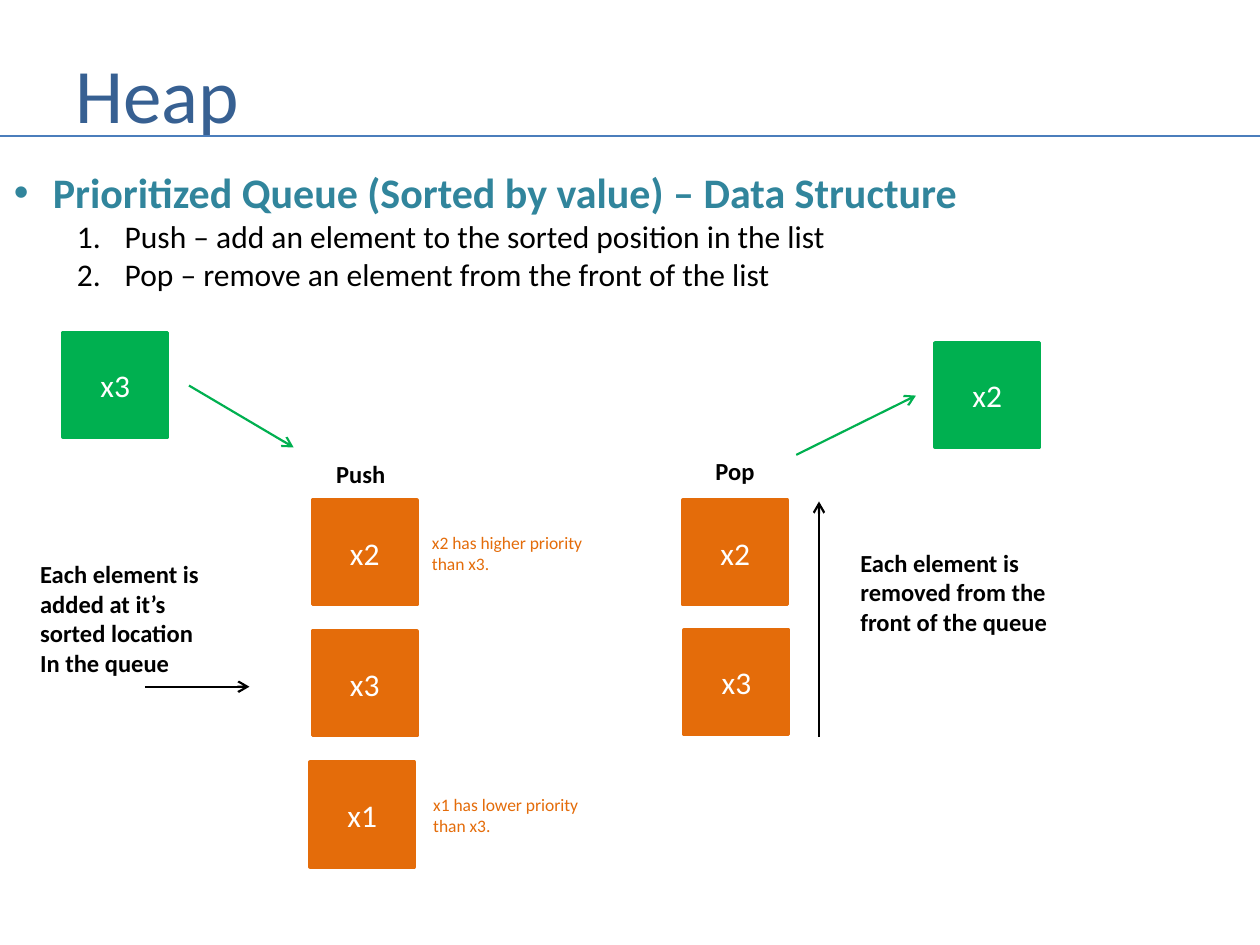
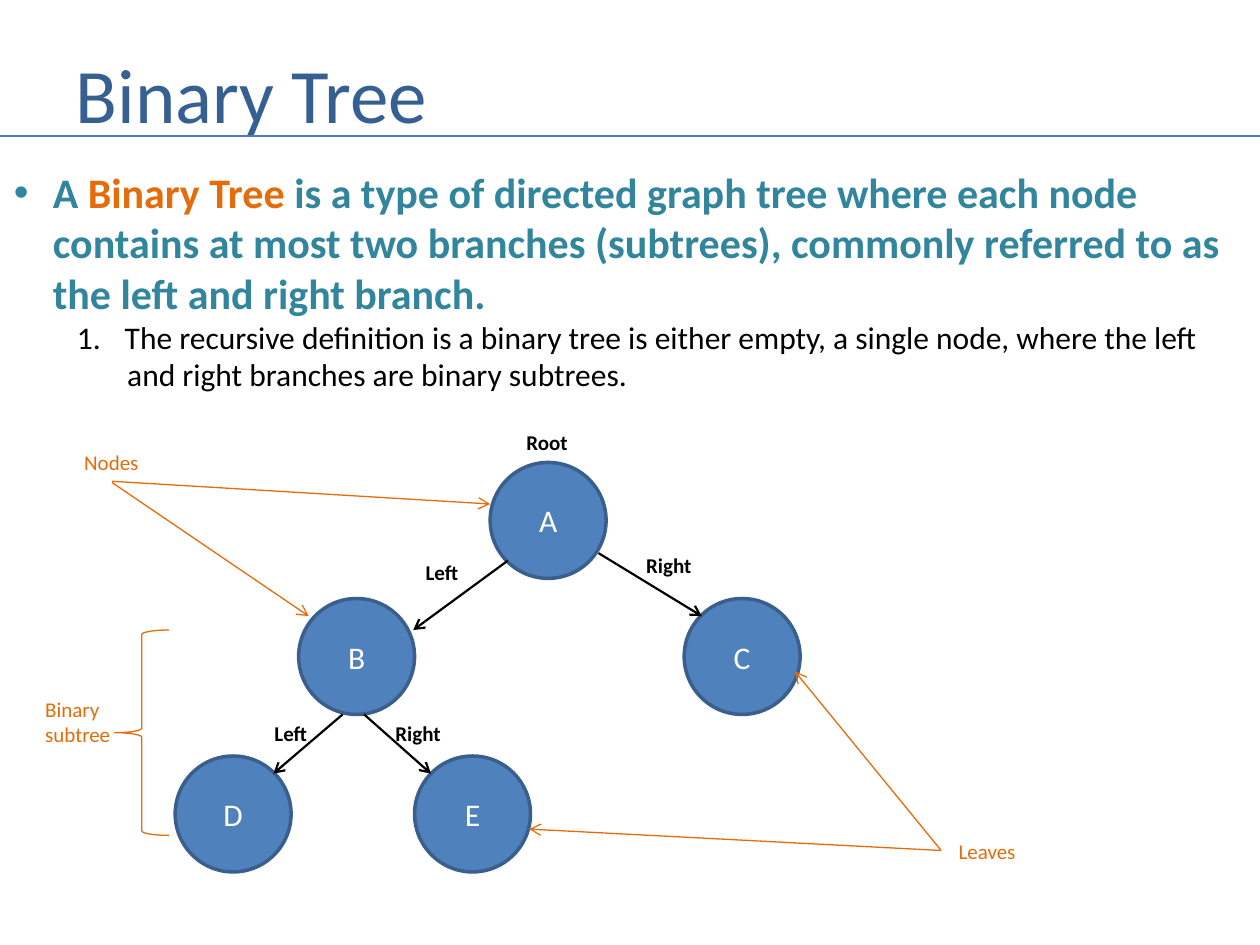
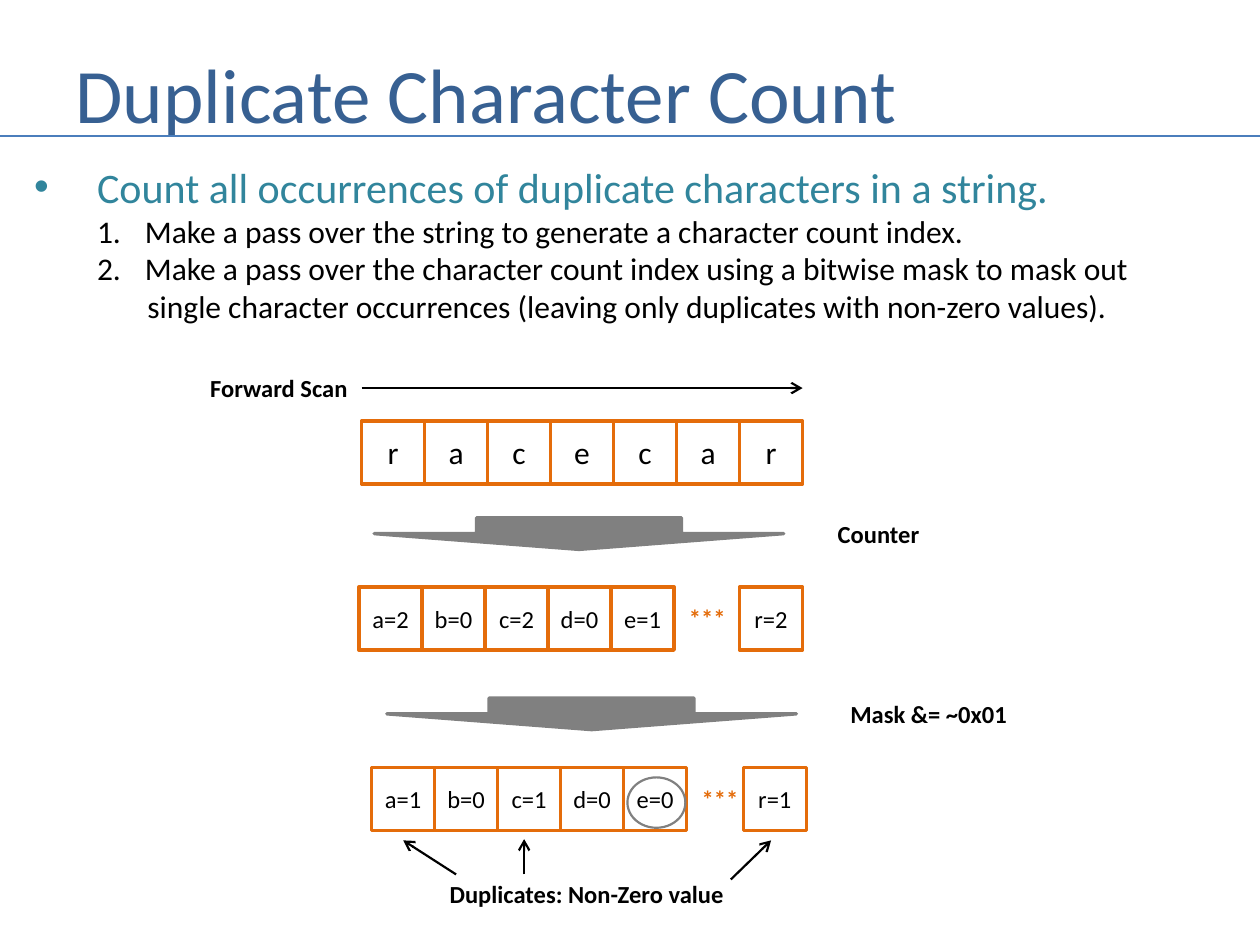
from dataclasses import dataclass

from lxml import etree
from pptx import Presentation
from pptx.dml.color import RGBColor
from pptx.enum.shapes import MSO_CONNECTOR, MSO_SHAPE
from pptx.enum.text import MSO_ANCHOR, MSO_AUTO_SIZE, PP_ALIGN
from pptx.oxml.ns import qn
from pptx.util import Inches, Pt

RECTANGLE, ELLIPSE = MSO_SHAPE.RECTANGLE, MSO_SHAPE.OVAL
DOWN_ARROW, RIGHT_BRACE = MSO_SHAPE.DOWN_ARROW, MSO_SHAPE.RIGHT_BRACE
STRAIGHT = MSO_CONNECTOR.STRAIGHT
MIDDLE, LEFT, CENTER = MSO_ANCHOR.MIDDLE, PP_ALIGN.LEFT, PP_ALIGN.CENTER
FIT_SHAPE, NO_FIT = MSO_AUTO_SIZE.SHAPE_TO_FIT_TEXT, MSO_AUTO_SIZE.NONE


@dataclass(frozen=True)
class Theme:
    font: str = "Calibri"
    # Colours
    title: str = "376092"
    rule: str = "4B7EBC"
    heading: str = "31859C"
    text: str = "000000"
    light: str = "FFFFFF"
    accent: str = "E46C0A"
    moving: str = "00B050"
    node: str = "4F81BD"
    node_line: str = "3A5F8C"
    step: str = "808080"
    # Type sizes
    title_size: int = 44
    heading_size: int = 24
    body_size: int = 18
    label_size: int = 14
    small_size: int = 12
    note_size: int = 10
    # Line widths
    outline: float = 2
    title_rule: float = 1.5
    arrow: float = 1.25
    pointer: float = 0.75


THEME = Theme()


def add_text(paragraph, text, size=THEME.body_size, color=THEME.text, bold=False):
    """Append one formatted run to a paragraph."""
    run = paragraph.add_run()
    run.text = text
    run.font.name = THEME.font
    run.font.size = Pt(size)
    run.font.bold = bold
    run.font.color.rgb = RGBColor.from_string(color)


def next_paragraph(frame, index):
    return frame.paragraphs[0] if index == 0 else frame.add_paragraph()


def place(shape, left, top, width, height):
    shape.left, shape.top = Inches(left), Inches(top)
    shape.width, shape.height = Inches(width), Inches(height)


def set_bullet(paragraph, margin, indent, tag, **attributes):
    properties = paragraph._p.get_or_add_pPr()
    properties.set("marL", str(Inches(margin)))
    properties.set("indent", str(Inches(indent)))
    if tag == "a:buChar":
        etree.SubElement(properties, qn("a:buFont"), typeface="Arial")
    etree.SubElement(properties, qn(tag), **attributes)


class Deck:
    """Holds the presentation, its style and the current slide."""

    def __init__(self):
        self.presentation = Presentation()
        self.presentation.slide_width = Inches(10)
        self.presentation.slide_height = Inches(7.5)
        self.slide = None

    def new_slide(self, title):
        layout = self.presentation.slide_layouts[1]
        self.slide = self.presentation.slides.add_slide(layout)
        shape = self.slide.shapes.title
        place(shape, 0.5, 0.3, 9.08, 0.87)
        frame = shape.text_frame
        frame.auto_size = NO_FIT
        frame.vertical_anchor = MIDDLE
        frame.paragraphs[0].alignment = LEFT
        add_text(frame.paragraphs[0], title, size=THEME.title_size, color=THEME.title)
        self.line((0, 1.08), (10, 1.08), THEME.rule, THEME.title_rule, arrow=False)

    def outline(self, box, heading, items, continuation=None, hang=0.31, bold=True):
        """Fill the body with a bulleted heading and numbered items."""
        body = self.slide.placeholders[1]
        place(body, *box)
        frame = body.text_frame
        frame.auto_size = FIT_SHAPE
        first = frame.paragraphs[0]
        first.space_before = Pt(0)
        set_bullet(first, hang, -hang, "a:buChar", char="•")
        for text, color in heading:
            add_text(first, text, size=THEME.heading_size, color=color, bold=bold)
        lines = [(item, True) for item in items]
        if continuation:
            lines.append((continuation, False))
        for text, numbered in lines:
            paragraph = frame.add_paragraph()
            paragraph.level = 1
            paragraph.space_before = Pt(0)
            if numbered:
                set_bullet(paragraph, 0.88, -0.38, "a:buAutoNum", type="arabicPeriod")
            else:
                set_bullet(paragraph, 0.9, 0, "a:buNone")
            add_text(paragraph, text)

    def label(self, box, *lines, size=THEME.label_size, color=THEME.text, bold=True):
        shape = self.slide.shapes.add_textbox(*map(Inches, box))
        frame = shape.text_frame
        frame.word_wrap = False
        frame.auto_size = FIT_SHAPE
        for index, text in enumerate(lines):
            add_text(next_paragraph(frame, index), text, size=size, color=color, bold=bold)

    def shape(self, kind, box, fill=None, line=None, width=THEME.outline,
              text=None, **text_format):
        shape = self.slide.shapes.add_shape(kind, *map(Inches, box))
        shape.shadow.inherit = False
        if fill:
            shape.fill.solid()
            shape.fill.fore_color.rgb = RGBColor.from_string(fill)
        else:
            shape.fill.background()
        shape.line.color.rgb = RGBColor.from_string(line or fill)
        shape.line.width = Pt(width)
        if text:
            frame = shape.text_frame
            frame.margin_left = frame.margin_right = 0
            frame.vertical_anchor = MIDDLE
            frame.paragraphs[0].alignment = CENTER
            add_text(frame.paragraphs[0], text, **text_format)
        return shape

    def element(self, left, top, text, fill=THEME.accent):
        self.shape(RECTANGLE, (left, top, 0.83, 0.83), fill, text=text, color=THEME.light)

    def node(self, left, top, text):
        self.shape(ELLIPSE, (left, top, 0.92, 0.92), THEME.node, THEME.node_line,
                   text=text, color=THEME.light)

    def cells(self, left, top, texts, size):
        for index, text in enumerate(texts):
            self.shape(RECTANGLE, (left + 0.5 * index, top, 0.5, 0.5),
                       line=THEME.accent, text=text, size=size)

    def line(self, start, end, color=THEME.text, width=THEME.arrow, arrow=True):
        connector = self.slide.shapes.add_connector(
            STRAIGHT, *map(Inches, (*start, *end)))
        connector.line.color.rgb = RGBColor.from_string(color)
        connector.line.width = Pt(width)
        if arrow:
            etree.SubElement(connector.line._get_or_add_ln(), qn("a:tailEnd"), type="arrow")
        etree.SubElement(connector._element.spPr, qn("a:effectLst"))


def heap_slide(deck):
    deck.new_slide("Heap")
    deck.outline(
        (0.01, 1.27, 9.99, 1.11),
        [("Prioritized Queue (Sorted by value) – Data Structure", THEME.heading)],
        ["Push – add an element to the sorted position in the list",
         "Pop – remove an element from the front of the list"])

    # Queue after the push
    deck.element(0.5, 2.64, "x3", THEME.moving)
    deck.line((1.5, 3.06), (2.33, 3.55), THEME.moving)
    deck.label((2.57, 3.59, 0.6, 0.34), "Push")
    for left, top, text in [(2.48, 3.97, "x2"), (2.48, 5.01, "x3"), (2.46, 6.05, "x1")]:
        deck.element(left, top, text)
    deck.label((0.22, 4.39, 1.47, 1.04), "Each element is", "added at it’s",
               "sorted location", "In the queue")
    deck.line((1.15, 5.45), (1.98, 5.45))
    for left, top, width, text in [(3.33, 4.17, 1.41, "x2 has higher priority"),
                                   (3.34, 6.25, 1.37, "x1 has lower priority")]:
        deck.label((left, top, width, 0.44), text, "than x3.",
                   size=THEME.note_size, color=THEME.accent, bold=False)

    # Queue during the pop
    deck.label((5.58, 3.57, 0.51, 0.34), "Pop")
    deck.element(5.42, 3.97, "x2")
    deck.element(5.43, 5, "x3")
    deck.element(7.42, 2.72, "x2", THEME.moving)
    deck.line((6.32, 3.61), (7.27, 3.14), THEME.moving)
    deck.line((6.5, 5.85), (6.5, 3.98))
    deck.label((6.73, 4.3, 1.73, 0.81), "Each element is", "removed from the",
               "front of the queue")


def tree_slide(deck):
    deck.new_slide("Binary Tree")
    deck.outline(
        (0.01, 1.27, 9.99, 1.92),
        [("A ", THEME.heading), ("Binary Tree ", THEME.accent),
         ("is a type of directed graph tree where each node contains at most two "
          "branches (subtrees), commonly referred to as the left and right branch.",
          THEME.heading)],
        ["The recursive definition is a binary tree is either empty, a single node, "
         "where the left"],
        "and right branches are binary subtrees.")

    # Nodes and branches
    for left, top, text in [(3.89, 3.67, "A"), (2.37, 4.75, "B"), (5.43, 4.75, "C"),
                            (1.39, 6, "D"), (3.29, 6, "E")]:
        deck.node(left, top, text)
    for start, end in [((4.03, 4.45), (3.28, 5)), ((2.72, 5.67), (2.17, 6.14)),
                       ((2.89, 5.67), (3.42, 6.14)), ((4.75, 4.39), (5.57, 4.89))]:
        deck.line(start, end)
    for left, top, width, text in [
            (3.28, 4.39, 0.47, "Left"), (2.08, 5.67, 0.47, "Left"),
            (4.08, 3.36, 0.53, "Root"),
            (5.03, 4.34, 0.57, "Right"), (3.04, 5.67, 0.57, "Right")]:
        deck.label((left, top, width, 0.3), text, size=THEME.small_size)

    # Explanations
    for box, *lines in [((0.57, 3.52, 0.64, 0.3), "Nodes"),
                        ((7.51, 6.61, 0.66, 0.3), "Leaves"),
                        ((0.26, 5.48, 0.72, 0.5), "Binary", "subtree")]:
        deck.label(box, *lines, size=THEME.small_size, color=THEME.accent, bold=False)
    for start, end in [((0.89, 3.83), (2.45, 4.89)), ((0.89, 3.82), (3.89, 4)),
                       ((7.47, 6.75), (6.31, 5.33)), ((7.47, 6.75), (4.2, 6.58))]:
        deck.line(start, end, THEME.accent, THEME.pointer)
    brace = deck.shape(RIGHT_BRACE, (0.91, 5, 0.43, 1.63), line=THEME.accent,
                       width=THEME.pointer)
    brace.rotation = 180


def duplicates_slide(deck):
    deck.new_slide("Duplicate Character Count")
    deck.outline(
        (0.17, 1.23, 9.04, 1.41),
        [("Count all occurrences of duplicate characters in a string.", THEME.heading)],
        ["Make a pass over the string to generate a character count index.",
         "Make a pass over the character count index using a bitwise mask to mask out"],
        "single character occurrences (leaving only duplicates with non-zero values).",
        hang=0.5, bold=False)

    # Scanned string
    deck.label((1.57, 2.91, 1.3, 0.34), "Forward Scan")
    deck.line((2.87, 3.08), (6.37, 3.08))
    deck.cells(2.87, 3.34, "racecar", THEME.body_size)

    # Each step: arrow, name and the resulting index
    for left, top, last_left, name, name_width, counts, last in [
            (2.85, 4.66, 5.87, "Counter", 0.85,
             ["a=2", "b=0", "c=2", "d=0", "e=1"], "r=2"),
            (2.95, 6.09, 5.9, "Mask &= ~0x01", 1.46,
             ["a=1", "b=0", "c=1", "d=0", "e=0"], "r=1")]:
        deck.shape(DOWN_ARROW, (left + 0.12, top - 0.55, 3.25, 0.25), THEME.step)
        deck.label((left + 3.7, top - 0.59, name_width, 0.34), name)
        deck.cells(left, top, counts, THEME.label_size)
        deck.label((left + 2.52, top + 0.08, 0.5, 0.34), "***", color=THEME.accent)
        deck.cells(last_left, top, [last], THEME.label_size)

    # Result
    deck.shape(ELLIPSE, (4.98, 6.17, 0.46, 0.4), line=THEME.step, width=THEME.arrow)
    deck.label((3.47, 6.93, 2.4, 0.34), "Duplicates: Non-Zero value")
    for start, end in [((3.62, 6.94), (3.2, 6.67)), ((4.16, 6.94), (4.16, 6.66)),
                       ((5.8, 6.98), (6.12, 6.67))]:
        deck.line(start, end)


def main():
    deck = Deck()
    heap_slide(deck)
    tree_slide(deck)
    duplicates_slide(deck)
    deck.presentation.save("out.pptx")


if __name__ == "__main__":
    main()
